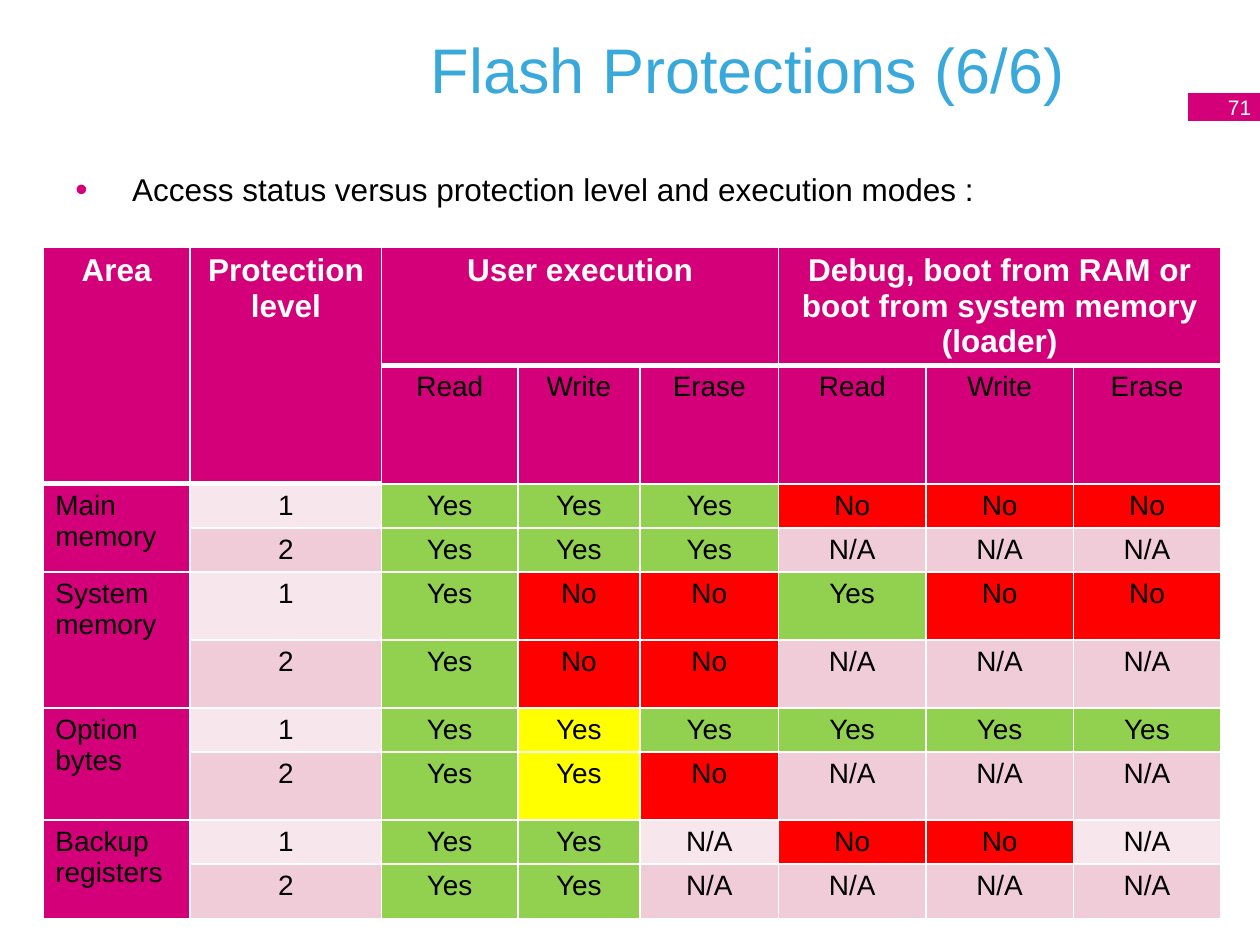
from pptx import Presentation
from pptx.dml.color import RGBColor
from pptx.enum.shapes import MSO_SHAPE
from pptx.enum.text import MSO_ANCHOR, PP_ALIGN
from pptx.oxml import parse_xml
from pptx.oxml.ns import nsdecls
from pptx.util import Inches, Pt

theme = dict(
    font="Arial", title="39A9DC", accent="D4007A", white="FFFFFF", black="000000",
    yes="92D050", no="FF0000", caution="FFFF00", bands=("F7E7EC", "EFCCD7"),
    title_size=36, head_size=18, cell_size=16, number_size=12,
)

deck = Presentation()
deck.slide_width, deck.slide_height = Inches(10), Inches(7.5)
page = deck.slides.add_slide(deck.slide_layouts[5])


def area(left, top, width, height):
    """Turn percentages of the slide's width and height into lengths."""
    across, down = deck.slide_width / 100, deck.slide_height / 100
    return [round(n) for n in (left * across, top * down, width * across, height * down)]


def write(frame, text, size, color, bold=False, align=PP_ALIGN.LEFT, anchor=MSO_ANCHOR.TOP):
    """Put one formatted paragraph into a text frame and return it."""
    frame.vertical_anchor = anchor
    para = frame.paragraphs[0]
    para.alignment = align
    span = para.add_run()
    span.text = text
    span.font.name, span.font.size, span.font.bold = theme["font"], Pt(size), bold
    span.font.color.rgb = RGBColor.from_string(color)
    return para


# Title
title = page.shapes.title
title.left, title.top, title.width, title.height = area(3.8, 2.27, 81.7, 10)
write(title.text_frame, "Flash Protections (6/6)", theme["title_size"], theme["title"],
      align=PP_ALIGN.RIGHT, anchor=MSO_ANCHOR.MIDDLE)

# Page number tab
tab = page.shapes.add_shape(MSO_SHAPE.RECTANGLE, *area(94.3, 9.87, 6, 2.93))
tab.shadow.inherit = False
tab.fill.solid()
tab.fill.fore_color.rgb = RGBColor.from_string(theme["accent"])
tab.line.fill.background()
tab.text_frame.word_wrap = False
write(tab.text_frame, "71", theme["number_size"], theme["white"],
      align=PP_ALIGN.RIGHT, anchor=MSO_ANCHOR.MIDDLE)

# Table contents: each memory area has one row per protection level
headings = {0: "Area", 1: "Protection level", 2: "User execution",
            5: "Debug, boot from RAM or boot from system memory (loader)"}
modes = ["Read", "Write", "Erase"] * 2
access = {
    "Main memory": ("Yes Yes Yes No No No", "Yes Yes Yes N/A N/A N/A"),
    "System memory": ("Yes No No Yes No No", "Yes No No N/A N/A N/A"),
    "Option bytes": ("Yes Yes Yes Yes Yes Yes", "Yes Yes No N/A N/A N/A"),
    "Backup registers": ("Yes Yes N/A No No N/A", "Yes Yes N/A N/A N/A N/A"),
}
rows = [[headings.get(column, "") for column in range(8)], ["", ""] + modes]
for name, levels in access.items():
    for level, states in enumerate(levels):
        rows.append(["" if level else name, str(level + 1)] + states.split())

# Table grid
widths = [1.17, 1.52, 1.08, 0.97, 1.1, 1.17, 1.17, 1.17]
heights = [0.94, 0.94, 0.35, 0.35, 0.54, 0.54, 0.35, 0.54, 0.35, 0.43]
table = page.shapes.add_table(len(heights), len(widths), *area(3.4, 26.13, 93.5, 71.07)).table
for column, width in zip(table.columns, widths):
    column.width = Inches(width)
for row, height in zip(table.rows, heights):
    row.height = Inches(height)

# Merged headings and area names
for column in (0, 1):
    table.cell(0, column).merge(table.cell(1, column))
for column in (2, 5):
    table.cell(0, column).merge(table.cell(0, column + 2))
for row in range(2, len(rows), 2):
    table.cell(row, 0).merge(table.cell(row + 1, 0))

# Cells
for r, texts in enumerate(rows):
    for c, text in enumerate(texts):
        cell = table.cell(r, c)
        band = theme["bands"][r % 2]
        if r < 2 or c == 0:
            color = theme["accent"]
        elif text == "Yes" and c == 3 and r in (6, 7):
            color = theme["caution"]
        else:
            color = {"Yes": theme["yes"], "No": theme["no"]}.get(text, band)
        cell.fill.solid()
        cell.fill.fore_color.rgb = RGBColor.from_string(color)

        # White rules, heavier below the headings
        heavy = r == 0 or (r == 1 and c < 2)
        for place, side in enumerate("LRTB"):
            weight = Pt(3 if side == "B" and heavy else 1)
            cell._tc.get_or_add_tcPr().insert(place, parse_xml(
                f'<a:ln{side} {nsdecls("a")} w="{weight}"><a:solidFill>'
                f'<a:srgbClr val="{theme["white"]}"/></a:solidFill></a:ln{side}>'))

        if text:
            write(cell.text_frame, text,
                  theme["cell_size"] if r else theme["head_size"],
                  theme["black"] if r else theme["white"], bold=r == 0,
                  align=PP_ALIGN.LEFT if r > 1 and c == 0 else PP_ALIGN.CENTER)

# Bullet line
box = page.shapes.add_textbox(*area(5, 16.67, 89.2, 9.87))
box.text_frame.word_wrap = True
box.text_frame.margin_top = Inches(0.1)
para = write(box.text_frame, "Access status versus protection level and execution modes :",
             theme["head_size"], theme["black"])
settings = para._p.get_or_add_pPr()
settings.set("marL", str(Inches(0.45)))
settings.set("indent", str(-Inches(0.45)))
for mark in (f'<a:buClr {nsdecls("a")}><a:srgbClr val="{theme["accent"]}"/></a:buClr>',
             f'<a:buSzPct {nsdecls("a")} val="111000"/>',
             f'<a:buFont {nsdecls("a")} typeface="{theme["font"]}"/>',
             f'<a:buChar {nsdecls("a")} char="•"/>'):
    settings.append(parse_xml(mark))

deck.save("out.pptx")
